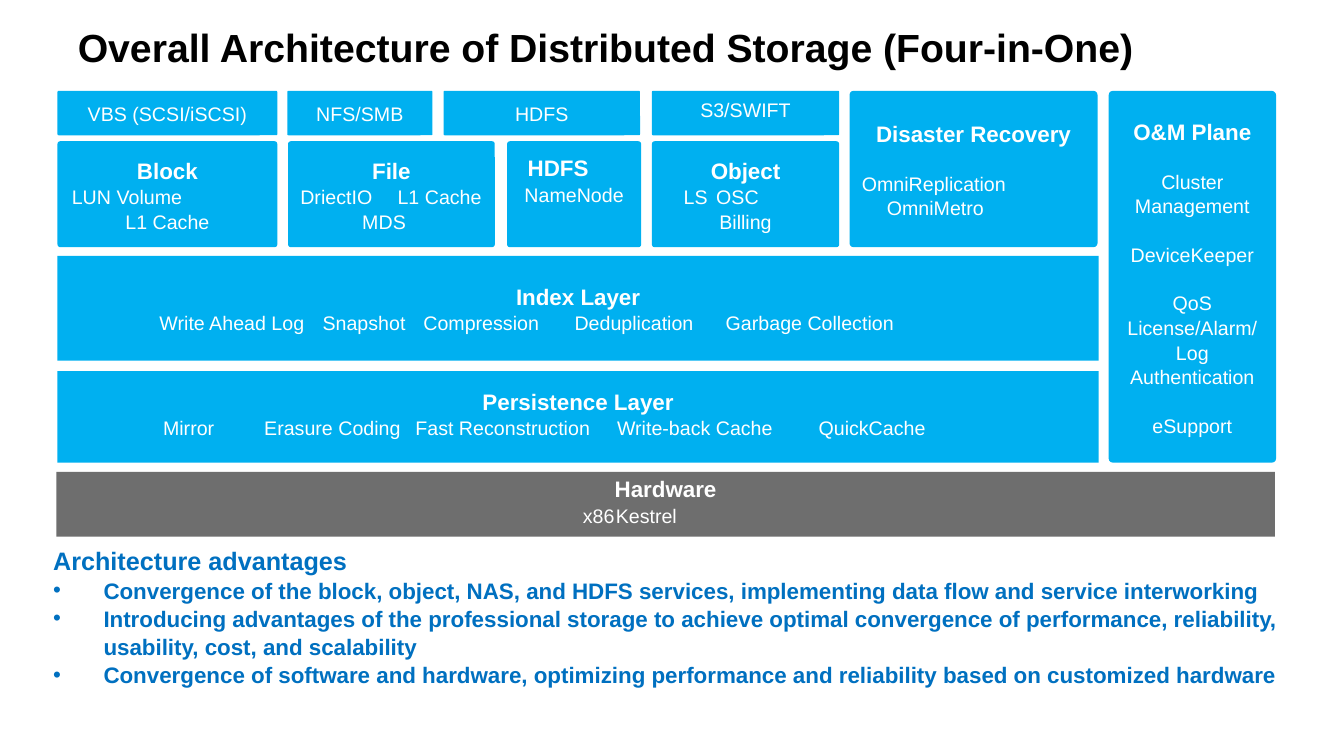
from dataclasses import dataclass

import pptx
import pptx.dml.color
import pptx.enum.shapes
import pptx.enum.text
import pptx.oxml.ns
import pptx.util
from lxml import etree

Cm = pptx.util.Cm
Pt = pptx.util.Pt


@dataclass(frozen=True)
class Theme:
    font: str = "Arial"
    black: str = "000000"
    white: str = "FFFFFF"
    software: str = "00B0F0"
    hardware: str = "6E6E6E"
    accent: str = "0070C0"
    title_size: int = 28
    lead_size: int = 18
    heading_size: int = 16
    label_size: int = 14
    line_spacing: float = 1.05
    group_gap: int = 17
    corner: float = 0.026


@dataclass(frozen=True)
class Line:
    """Items on one line; starts are their left edges in cm, none means centred."""
    items: tuple
    starts: tuple = ()
    new_group: bool = False
    heading: bool = False


@dataclass(frozen=True)
class Block:
    """A box of the stack; insets are left/right, top and bottom in cm."""
    row: str
    left: float
    width: float
    insets: tuple
    lines: tuple
    corner: float = Theme.corner
    fill: str = Theme.software


def heading(text, *starts):
    return Line((text,), starts, heading=True)


def label(text, *starts, new_group=False):
    return Line((text,), starts, new_group)


TITLE = "Overall Architecture of Distributed Storage (Four-in-One)"
ADVANTAGES_HEADING = "Architecture advantages"
ADVANTAGES = [
    "Convergence of the block, object, NAS, and HDFS services, implementing data flow and service interworking",
    "Introducing advantages of the professional storage to achieve optimal convergence of performance, "
    "reliability, usability, cost, and scalability",
    "Convergence of software and hardware, optimizing performance and reliability based on customized hardware",
]

# Row name: top and height in cm
ROWS = {
    "protocol": (2.29, 1.12),
    "service": (3.56, 2.67),
    "recovery": (2.29, 3.94),
    "management": (2.29, 9.37),
    "index": (6.45, 2.64),
    "persistence": (9.35, 2.31),
    "hardware": (11.89, 1.63),
}
WIDE = (0.33, 0.18, 0.18)
NARROW = (0.2, 0.18, 0.18)
RAISED = (0.13, 0, 0.18)

BLOCKS = [
    Block("management", 27.94, 4.22, NARROW, (
        heading("O&M Plane"),
        label("Cluster Management", new_group=True),
        label("DeviceKeeper", new_group=True),
        label("QoS", new_group=True),
        label("License/Alarm/"),
        label("Log"),
        label("Authentication"),
        label("eSupport", new_group=True))),
    Block("persistence", 1.45, 26.24, RAISED, (
        heading("Persistence Layer"),
        Line(("Mirror", "Erasure Coding", "Fast Reconstruction", "Write-back Cache", "QuickCache"),
             (2.53, 5.05, 9.59, 15.36, 20.65))), corner=0),
    Block("index", 1.45, 26.24, WIDE, (
        heading("Index Layer"),
        Line(("Write Ahead Log", "Snapshot", "Compression", "Deduplication", "Garbage Collection"),
             (2.24, 7.11, 10.54, 14.83, 19.05))), corner=0),
    Block("protocol", 1.45, 5.54, WIDE, (label("VBS (SCSI/iSCSI)"),)),
    Block("service", 1.45, 5.54, NARROW, (
        heading("Block"), Line(("LUN", "Volume"), (0.14, 2.23)), label("L1 Cache"))),
    Block("protocol", 7.24, 3.66, (0, 0.18, 0.18), (label("NFS/SMB"),)),
    Block("service", 7.26, 5.21, NARROW, (
        heading("File"), Line(("DriectIO", "L1 Cache"), (0.09, 2.31)), label("MDS", 1.65))),
    Block("service", 16.43, 4.72, WIDE, (
        heading("Object"), Line(("LS", "OSC"), (0.45, 1.61)), label("Billing"))),
    Block("protocol", 16.43, 4.72, RAISED, (label("S3/SWIFT"),)),
    Block("protocol", 11.18, 4.95, WIDE, (label("HDFS"),)),
    Block("recovery", 21.41, 6.25, NARROW, (
        heading("Disaster Recovery"),
        label("OmniReplication", 0.08, new_group=True),
        label("OmniMetro", 0.71))),
    Block("service", 12.78, 3.38, (0.2, 0.18, 0.91), (
        heading("HDFS", 0.3), label("NameNode"))),
    Block("hardware", 1.42, 30.71, RAISED, (
        heading("Hardware"), Line(("x86", "Kestrel"), (13.14, 15.31))),
        corner=0, fill=Theme.hardware),
]


def color(value):
    return pptx.dml.color.RGBColor.from_string(value)


def format_paragraph(paragraph, size, font_color, bold):
    paragraph.line_spacing = Theme.line_spacing
    font = paragraph.font
    font.name = Theme.font
    font.size = Pt(size)
    font.bold = bold
    font.color.rgb = color(font_color)


def set_insets(frame, side, top, bottom):
    frame.margin_left = frame.margin_right = Cm(side)
    frame.margin_top, frame.margin_bottom = Cm(top), Cm(bottom)


def add_child(parent, tag, **attributes):
    return etree.SubElement(parent, pptx.oxml.ns.qn(tag), attributes)


def next_paragraph(frame, number):
    return frame.add_paragraph() if number else frame.paragraphs[0]


def place_items(paragraph, starts):
    """Indent the first item and give each later one a tab stop."""
    properties = paragraph._p.get_or_add_pPr()
    properties.set("marL", "0")
    properties.set("indent", str(Cm(starts[0])))
    if len(starts) > 1:
        tabs = add_child(properties, "a:tabLst")
        for start in starts[1:]:
            add_child(tabs, "a:tab", pos=str(Cm(start)), algn="l")


def add_block(slide, block):
    top, height = ROWS[block.row]
    shape = slide.shapes.add_shape(
        pptx.enum.shapes.MSO_SHAPE.ROUNDED_RECTANGLE,
        Cm(block.left), Cm(top), Cm(block.width), Cm(height))
    shape.adjustments[0] = block.corner
    shape.shadow.inherit = False
    shape.fill.solid()
    shape.fill.fore_color.rgb = color(block.fill)
    shape.line.fill.background()
    frame = shape.text_frame
    frame.word_wrap = True
    frame.vertical_anchor = pptx.enum.text.MSO_ANCHOR.MIDDLE
    set_insets(frame, *block.insets)
    for number, line in enumerate(block.lines):
        paragraph = next_paragraph(frame, number)
        paragraph.text = "\t".join(line.items)
        alignments = pptx.enum.text.PP_ALIGN
        paragraph.alignment = alignments.LEFT if line.starts else alignments.CENTER
        if line.starts:
            place_items(paragraph, line.starts)
        if line.new_group:
            paragraph.space_before = Pt(Theme.group_gap)
        size = Theme.heading_size if line.heading else Theme.label_size
        format_paragraph(paragraph, size, Theme.white, line.heading)


def add_title(slide):
    title = slide.shapes.title
    title.left, title.top, title.width, title.height = Cm(1.96), Cm(0.4), Cm(31.19), Cm(1.35)
    frame = title.text_frame
    frame.text = TITLE
    frame.word_wrap = True
    frame.auto_size = pptx.enum.text.MSO_AUTO_SIZE.NONE
    frame.vertical_anchor = pptx.enum.text.MSO_ANCHOR.TOP
    set_insets(frame, 0, 0.13, 0.13)
    frame.paragraphs[0].alignment = pptx.enum.text.PP_ALIGN.LEFT
    format_paragraph(frame.paragraphs[0], Theme.title_size, Theme.black, True)


def add_advantages(slide):
    frame = slide.shapes.add_textbox(Cm(1.09), Cm(13.77), Cm(31.8), Cm(3.5)).text_frame
    frame.word_wrap = True
    frame.vertical_anchor = pptx.enum.text.MSO_ANCHOR.MIDDLE
    for number, text in enumerate([ADVANTAGES_HEADING] + ADVANTAGES):
        paragraph = next_paragraph(frame, number)
        paragraph.text = text
        if number:
            properties = paragraph._p.get_or_add_pPr()
            properties.set("marL", str(Cm(1.27)))
            properties.set("indent", str(Cm(-1.27)))
            add_child(properties, "a:buFont", typeface=Theme.font)
            add_child(properties, "a:buChar", char="•")
        size = Theme.heading_size if number else Theme.lead_size
        format_paragraph(paragraph, size, Theme.accent, True)


def main():
    presentation = pptx.Presentation()
    presentation.slide_width, presentation.slide_height = Cm(33.87), Cm(19.05)
    slide = presentation.slides.add_slide(presentation.slide_layouts.get_by_name("Title Only"))
    add_title(slide)
    add_advantages(slide)
    for block in BLOCKS:
        add_block(slide, block)
    presentation.save("out.pptx")


if __name__ == "__main__":
    main()
